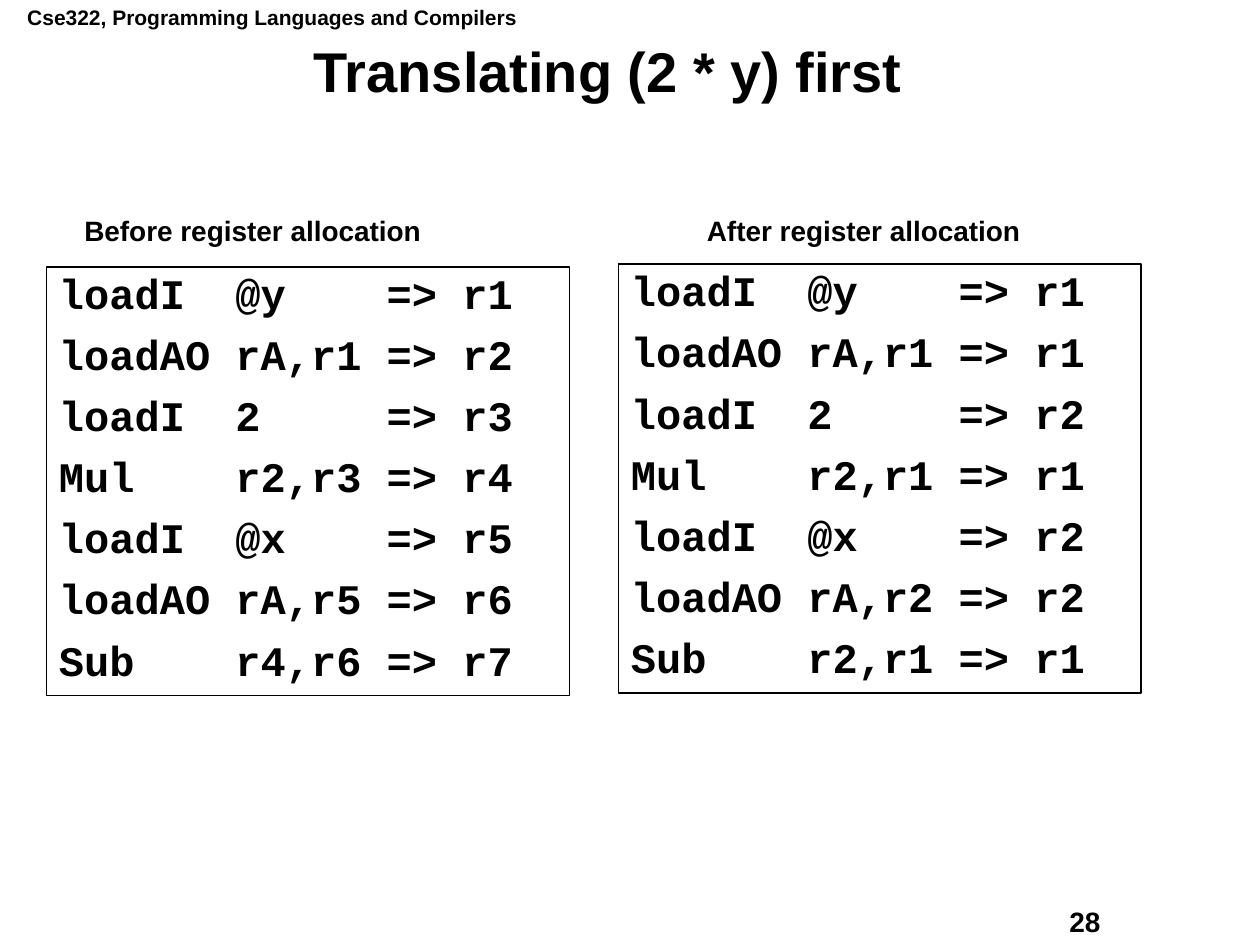
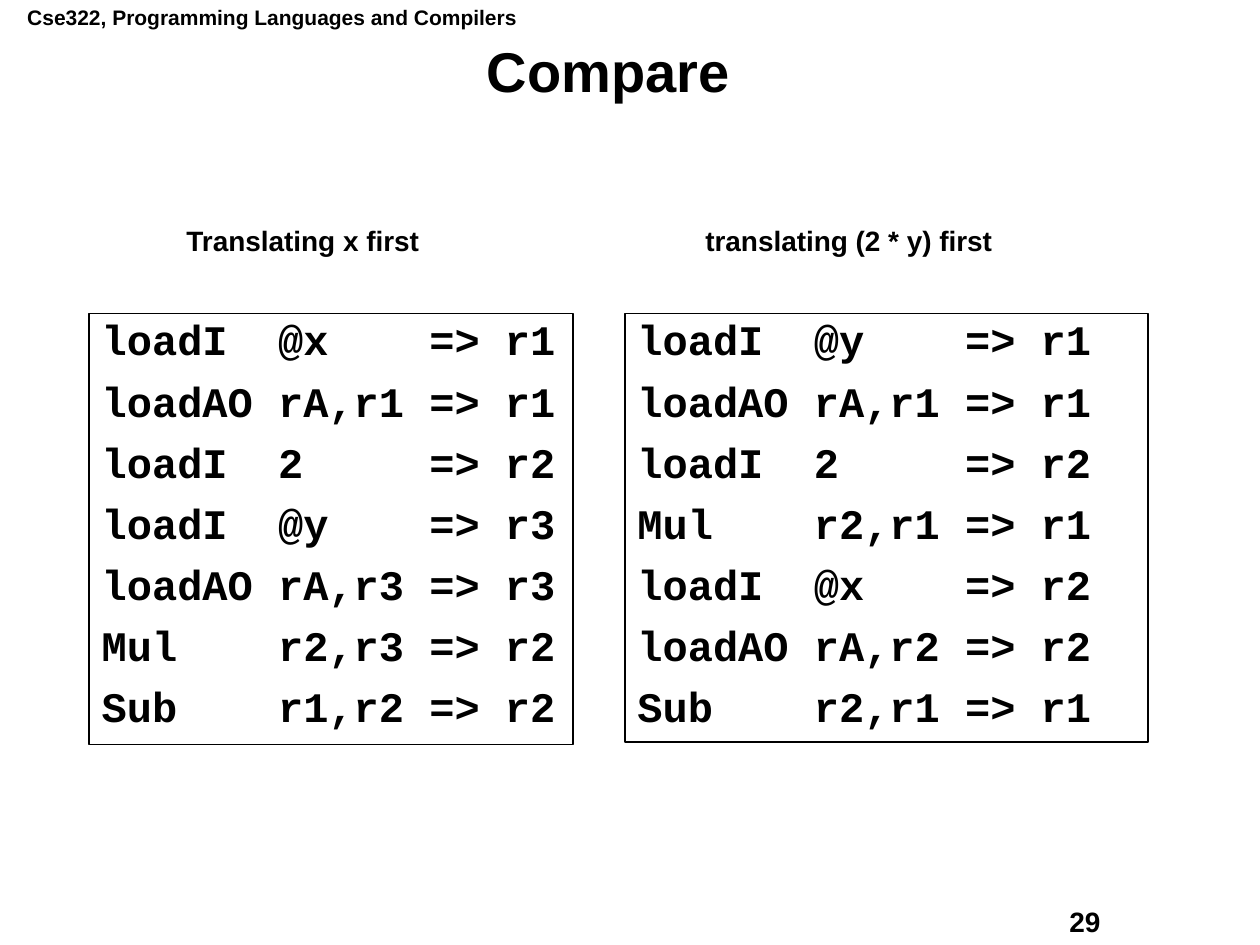
from dataclasses import dataclass

from lxml.etree import SubElement
from pptx import Presentation
from pptx.dml.color import RGBColor
from pptx.enum.shapes import MSO_SHAPE as Preset
from pptx.enum.text import MSO_ANCHOR as Anchor, PP_ALIGN as Align
from pptx.oxml.ns import qn
from pptx.util import Cm, Pt


@dataclass(frozen=True)
class Theme:
    ink: RGBColor = RGBColor(0, 0, 0)
    paper: RGBColor = RGBColor(255, 255, 255)
    text_font: str = "Arial"
    code_font: str = "Courier New"
    header_size: int = 12
    caption_size: int = 16
    code_size: int = 24
    title_size: int = 32
    line_spacing: float = 0.9
    code_gap: int = 9
    border: int = 1


@dataclass(frozen=True)
class Area:
    left: float
    top: float
    width: float
    height: float

    def lengths(self) -> tuple:
        return Cm(self.left), Cm(self.top), Cm(self.width), Cm(self.height)


@dataclass(frozen=True)
class Listing:
    area: Area
    code: tuple[str, ...]
    hanging: float = 0.79


@dataclass(frozen=True)
class Captions:
    area: Area
    left: str
    right: str
    tab: float


@dataclass(frozen=True)
class Comparison:
    number: int
    title: str
    captions: Captions
    listings: tuple[Listing, ...]


THEME = Theme()
COURSE = "Cse322, Programming Languages and Compilers"
HEADER_AREA = Area(0.3, -0.03, 10.6, 0.76)
NUMBER_AREA = Area(21.31, 18.11, 3.23, 0.91)
TITLE_AREA = Area(0.79, 0.79, 22.94, 1.42)
CAPTION_INSET = 0.86

Y_FIRST_BEFORE = (
    "loadI  @y    => r1",
    "loadAO rA,r1 => r2",
    "loadI  2     => r3",
    "Mul    r2,r3 => r4",
    "loadI  @x    => r5",
    "loadAO rA,r5 => r6",
    "Sub    r4,r6 => r7",
)
Y_FIRST_AFTER = (
    "loadI  @y    => r1",
    "loadAO rA,r1 => r1",
    "loadI  2     => r2",
    "Mul    r2,r1 => r1",
    "loadI  @x    => r2",
    "loadAO rA,r2 => r2",
    "Sub    r2,r1 => r1",
)
X_FIRST_AFTER = (
    "loadI  @x    => r1",
    "loadAO rA,r1 => r1",
    "loadI  2     => r2",
    "loadI  @y    => r3",
    "loadAO rA,r3 => r3",
    "Mul    r2,r3 => r2",
    "Sub    r1,r2 => r2",
)

PAGES = (
    Comparison(
        28,
        "Translating (2 * y) first",
        Captions(
            Area(0.84, 4.19, 22.5, 0.94),
            "Before register allocation",
            "After register allocation",
            12.55,
        ),
        (
            Listing(Area(0.94, 5.38, 10.54, 8.64), Y_FIRST_BEFORE),
            Listing(Area(12.47, 5.33, 10.54, 8.64), Y_FIRST_AFTER),
        ),
    ),
    Comparison(
        29,
        "Compare",
        Captions(
            Area(2.9, 4.39, 19.79, 0.94),
            "Translating x first",
            "translating (2 * y) first",
            10.46,
        ),
        (
            Listing(Area(12.6, 6.32, 10.54, 8.64), Y_FIRST_AFTER),
            Listing(Area(1.8, 6.32, 9.75, 8.69), X_FIRST_AFTER, 0.97),
        ),
    ),
)


def style(para, size: int, name: str = THEME.text_font) -> None:
    para.font.name = name
    para.font.size = Pt(size)
    para.font.bold = True
    para.font.color.rgb = THEME.ink


def add_text(page, area: Area, text: str, size: int):
    box = page.shapes.add_textbox(*area.lengths())
    box.text_frame.word_wrap = True
    para = box.text_frame.paragraphs[0]
    para.text = text
    style(para, size)
    return box.text_frame


def add_title(page, text: str) -> None:
    frame = add_text(page, TITLE_AREA, text, THEME.title_size)
    frame.vertical_anchor = Anchor.MIDDLE
    frame.paragraphs[0].alignment = Align.CENTER
    frame.paragraphs[0].line_spacing = THEME.line_spacing


def add_captions(page, captions: Captions) -> None:
    box = page.shapes.add_textbox(*captions.area.lengths())
    frame = box.text_frame
    frame.word_wrap = True
    frame.margin_left = Cm(CAPTION_INSET)
    para = frame.paragraphs[0]
    para.text = f"{captions.left}\t{captions.right}"
    tabs = SubElement(para._p.get_or_add_pPr(), qn("a:tabLst"))
    SubElement(tabs, qn("a:tab"), pos=str(Cm(captions.tab)), algn="l")
    style(para, THEME.caption_size)


def add_listing(page, listing: Listing) -> None:
    box = page.shapes.add_shape(Preset.RECTANGLE, *listing.area.lengths())
    box.shadow.inherit = False
    box.fill.background()
    box.line.color.rgb = THEME.ink
    box.line.width = Pt(THEME.border)
    frame = box.text_frame
    frame.word_wrap = True
    frame.vertical_anchor = Anchor.TOP
    for index, instruction in enumerate(listing.code):
        para = frame.add_paragraph() if index else frame.paragraphs[0]
        para.text = instruction
        para.alignment = Align.LEFT
        para.line_spacing = THEME.line_spacing
        if index:
            para.space_before = Pt(THEME.code_gap)
        properties = para._p.get_or_add_pPr()
        properties.set("marL", str(Cm(listing.hanging)))
        properties.set("indent", str(-Cm(listing.hanging)))
        style(para, THEME.code_size, THEME.code_font)


def add_page(deck, content: Comparison) -> None:
    page = deck.slides.add_slide(deck.slide_layouts[6])
    page.background.fill.solid()
    page.background.fill.fore_color.rgb = THEME.paper
    add_text(page, HEADER_AREA, COURSE, THEME.header_size)
    add_text(page, NUMBER_AREA, str(content.number), THEME.caption_size)
    add_title(page, content.title)
    for listing in content.listings:
        add_listing(page, listing)
    add_captions(page, content.captions)


def main() -> None:
    deck = Presentation()
    deck.slide_width, deck.slide_height = Cm(25.4), Cm(19.05)
    for content in PAGES:
        add_page(deck, content)
    deck.save("out.pptx")


if __name__ == "__main__":
    main()
